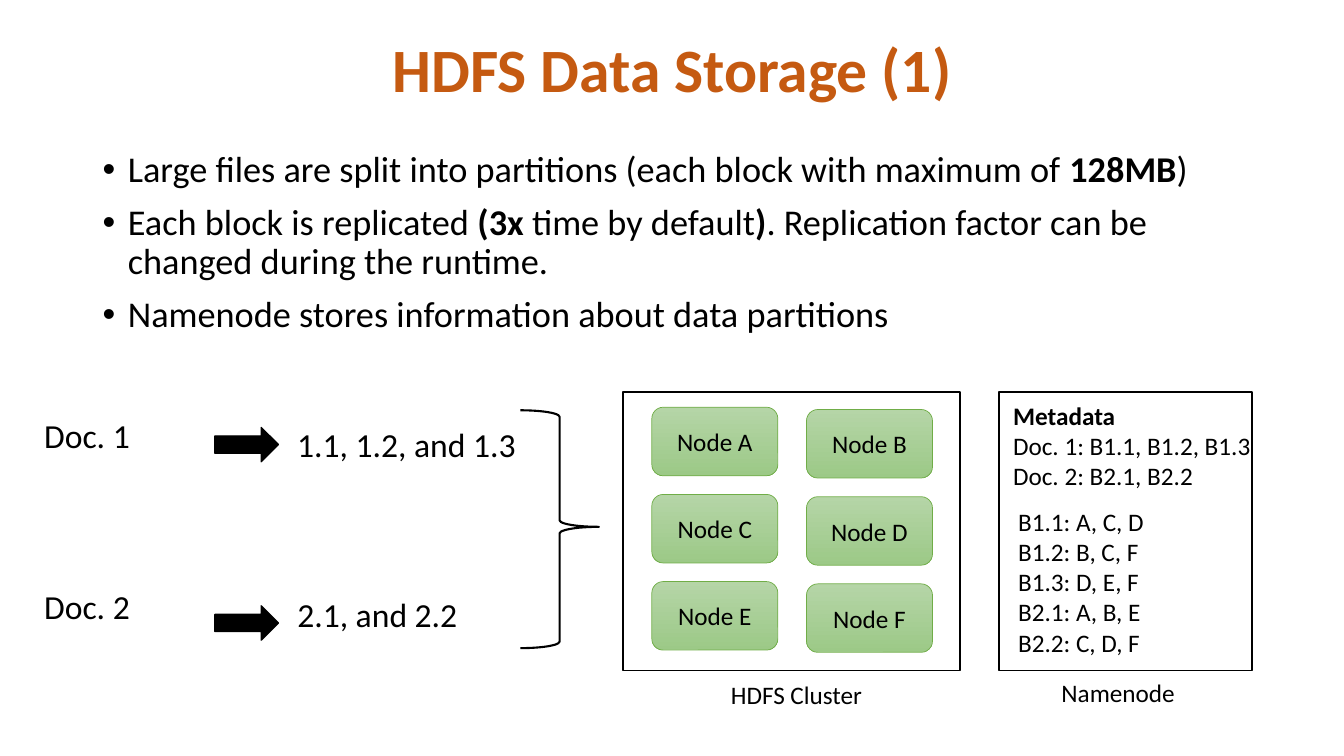
from dataclasses import dataclass
from itertools import product

from lxml import etree
from pptx import Presentation
from pptx import util as u
from pptx.dml.color import RGBColor
from pptx.enum import shapes, text
from pptx.oxml import ns

SHAPE = shapes.MSO_SHAPE
WIDTH, HEIGHT = u.Inches(13.33), u.Inches(7.5)
GRID = 100  # columns and rows on the slide


@dataclass(frozen=True)
class Theme:
    font: str = "Calibri"
    accent: str = "C55A11"
    ink: str = "000000"
    paper: str = "FFFFFF"
    node_top: str = "B5D5A7"
    node_bottom: str = "9CC987"
    node_edge: str = "70AD47"
    title: float = 44
    body: float = 25.9
    label: float = 24
    small: float = 18


@dataclass(frozen=True)
class Box:
    """An area in grid columns and rows."""
    x: float
    y: float
    w: float
    h: float

    def inner(self, x, y, w, h):
        return Box(self.x + x, self.y + y, w, h)

    def frame(self):
        return (int(self.x * WIDTH / GRID), int(self.y * HEIGHT / GRID),
                int(self.w * WIDTH / GRID), int(self.h * HEIGHT / GRID))


THEME = Theme()


def apply_format(target, values):
    for name, value in values.items():
        setattr(target, name, value)


def write_line(para, spans, size, color=THEME.ink):
    """Fill a paragraph with (words, bold) spans."""
    for words, bold in spans:
        span = para.add_run()
        span.text = words
        apply_format(span.font, {"name": THEME.font, "size": u.Pt(size), "bold": bold})
        span.font.color.rgb = RGBColor.from_string(color)


def add_text(page, box, lines, size, color=THEME.ink, wrap=False, **paragraph_format):
    """Add a text box; each line is a list of (words, bold) spans."""
    frame = page.shapes.add_textbox(*box.frame()).text_frame
    frame.word_wrap = wrap
    for index, spans in enumerate(lines):
        para = frame.add_paragraph() if index else frame.paragraphs[0]
        apply_format(para, paragraph_format)
        write_line(para, spans, size, color)
    return frame


def add_label(page, box, *lines, size=THEME.small, bold=False):
    add_text(page, box, [[(line, bold)] for line in lines], size)


def add_figure(page, kind, box, fill=None, line=THEME.ink, weight=1):
    figure = page.shapes.add_shape(kind, *box.frame())
    figure.shadow.inherit = False
    if fill:
        figure.fill.solid()
        figure.fill.fore_color.rgb = RGBColor.from_string(fill)
    else:
        figure.fill.background()
    figure.line.color.rgb = RGBColor.from_string(line)
    figure.line.width = u.Pt(weight)
    return figure


def draw_title(page, box):
    frame = add_text(page, box, [[("HDFS Data Storage (1)", True)]], THEME.title,
                     THEME.accent, wrap=True, alignment=text.PP_ALIGN.CENTER,
                     line_spacing=0.9)
    frame.vertical_anchor = text.MSO_ANCHOR.MIDDLE


def draw_bullets(page, box):
    lines = [
        [("Large files are split into partitions (each block with maximum of ", False),
         ("128MB", True), (")", False)],
        [("Each block is replicated ", False), ("(3x ", True),
         ("time by default", False), (")", True),
         (". Replication factor can be changed during the runtime.", False)],
        [("Namenode stores information about data partitions", False)],
    ]
    frame = add_text(page, box, lines, THEME.body, wrap=True, line_spacing=0.9)
    indent = u.Inches(0.25)
    for index, para in enumerate(frame.paragraphs):
        para.space_before = u.Pt(10 if index else 0)
        properties = para._p.get_or_add_pPr()
        properties.set("marL", str(indent))
        properties.set("indent", str(-indent))
        etree.SubElement(properties, ns.qn("a:buFont"), typeface="Arial")
        etree.SubElement(properties, ns.qn("a:buChar"), char="•")


def draw_documents(page, box):
    """Documents, arrows to their blocks, and the brace that gathers them."""
    documents = [("Doc. 1", "1.1, 1.2, and 1.3", 17.85),
                 ("Doc. 2", "2.1, and 2.2", 13.5)]
    for row, (name, blocks, width) in enumerate(documents):
        add_label(page, box.inner(0, 22.53 * row, 7.95, 6.67), name, size=THEME.label)
        add_figure(page, SHAPE.RIGHT_ARROW,
                   box.inner(13.43, 2.27 + 23.6 * row, 4.73, 4.53), fill=THEME.ink)
        add_label(page, box.inner(18.83, 1.2 + 22.4 * row, width, 6.67), blocks,
                  size=THEME.label)
    brace = add_figure(page, SHAPE.RIGHT_BRACE, box.inner(36.16, 0, 5.85, box.h), weight=1.5)
    brace.adjustments[0], brace.adjustments[1] = 0.083, 0.49


def draw_node(page, box, name):
    node = add_figure(page, SHAPE.ROUNDED_RECTANGLE, box, line=THEME.node_edge, weight=0.5)
    node.fill.gradient()
    node.fill.gradient_angle = 270
    for stop, color in zip(node.fill.gradient_stops, (THEME.node_top, THEME.node_bottom)):
        stop.color.rgb = RGBColor.from_string(color)
    node.text_frame.vertical_anchor = text.MSO_ANCHOR.MIDDLE
    para = node.text_frame.paragraphs[0]
    para.alignment = text.PP_ALIGN.CENTER
    write_line(para, [(name, False)], THEME.small)


def draw_cluster(page, box):
    add_figure(page, SHAPE.RECTANGLE, box, fill=THEME.paper)
    # The right column of nodes sits slightly lower
    for letter, (row, column) in zip("ABCDEF", product(range(3), range(2))):
        place = box.inner(2.14 + 11.51 * column, 2 + 11.53 * row + 0.3 * column, 9.38, 9.07)
        draw_node(page, place, f"Node {letter}")
    add_label(page, box.inner(7.28, 37.33, 11.4, 5.33), "HDFS Cluster")


def draw_namenode(page, box):
    add_figure(page, SHAPE.RECTANGLE, box, fill=THEME.paper)
    add_label(page, box.inner(0.3, 0.4, 9.15, 5.33), "Metadata", bold=True)
    add_label(page, box.inner(0.3, 4.4, 19.35, 9.47),
              "Doc. 1: B1.1, B1.2, B1.3", "Doc. 2: B2.1, B2.2")
    add_label(page, box.inner(0.68, 14.4, 10.95, 21.6), "B1.1: A, C, D", "B1.2: B, C, F",
              "B1.3: D, E, F", "B2.1: A, B, E", "B2.2: C, D, F")
    add_label(page, box.inner(3.9, 37.07, 10.05, 5.33), "Namenode")


def main():
    deck = Presentation()
    deck.slide_width, deck.slide_height = WIDTH, HEIGHT
    page = deck.slides.add_slide(deck.slide_layouts[6])
    # Heading and explanation
    draw_title(page, Box(6.9, 0, 86.25, 19.33))
    draw_bullets(page, Box(6.9, 19.33, 86.25, 28.13))
    # Diagram, left to right
    draw_documents(page, Box(2.55, 54.27, 42, 31.47))
    draw_cluster(page, Box(46.36, 51.87, 25.06, 36.8))
    draw_namenode(page, Box(74.34, 51.87, 18.83, 36.8))
    deck.save("out.pptx")


if __name__ == "__main__":
    main()
